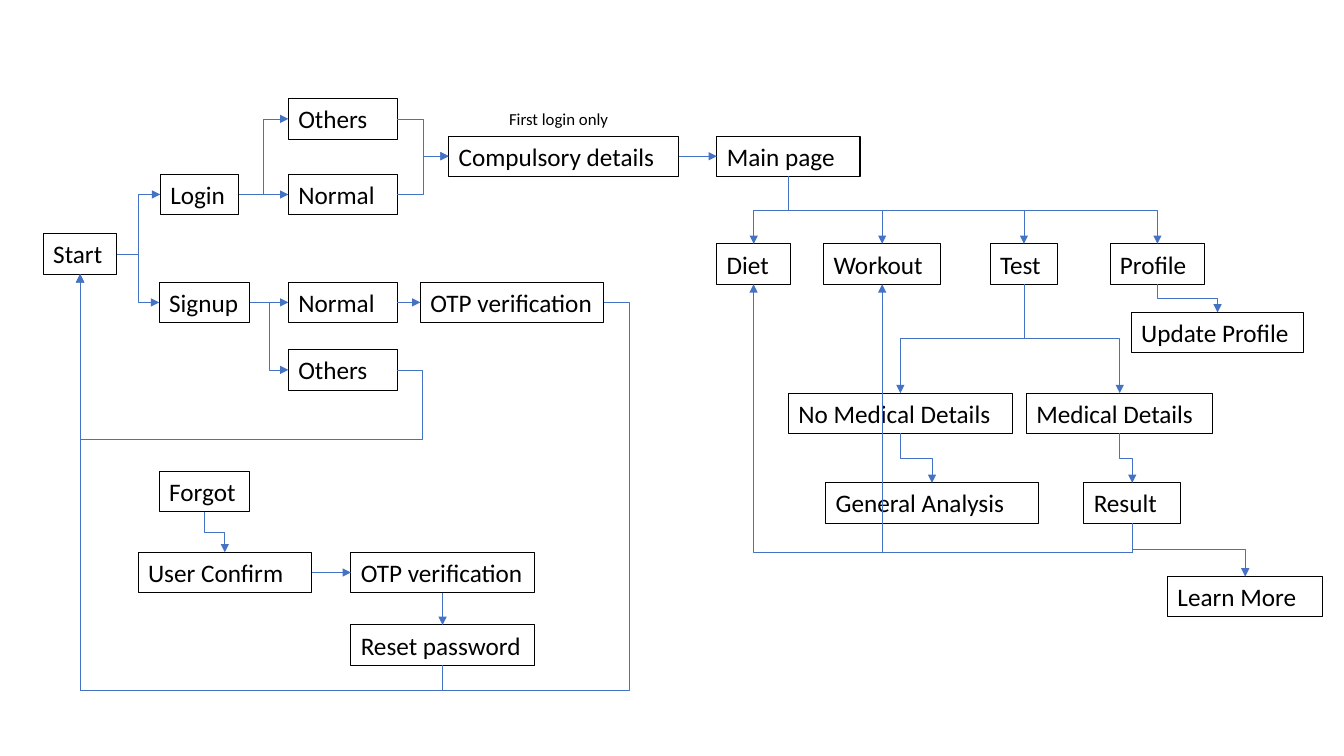
"""Draw the user flow of a health app, from start to analysis results."""
from dataclasses import dataclass
from typing import Optional

from lxml import etree
from pptx import Presentation
from pptx import util as u
from pptx.dml.color import RGBColor
from pptx.enum import shapes, text
from pptx.oxml.ns import qn

COLORS = {"ink": "000000", "flow": "4472C4"}
TOP, LEFT, BOTTOM, RIGHT = range(4)
STEP_HEIGHT = 0.4


@dataclass
class Step:
    label: str
    x: float
    y: float
    w: float

    def side(self, index: int) -> tuple[float, float]:
        across = {LEFT: 0, RIGHT: 1}.get(index, 0.5)
        down = {TOP: 0, BOTTOM: 1}.get(index, 0.5)
        return self.x + across * self.w, self.y + down * STEP_HEIGHT


@dataclass
class Flow:
    start: str
    end: str
    leave: int = RIGHT
    enter: int = LEFT
    lane_x: Optional[float] = None
    lane_y: Optional[float] = None


STEPS = {
    "start": Step("Start", 0.43, 2.32, 0.73),
    "login": Step("Login", 1.59, 1.73, 0.78),
    "login_normal": Step("Normal", 2.86, 1.73, 1.08),
    "login_others": Step("Others", 2.86, 0.98, 1.08),
    "signup": Step("Signup", 1.58, 2.8, 0.9),
    "signup_normal": Step("Normal", 2.86, 2.8, 1.08),
    "signup_others": Step("Others", 2.86, 3.47, 1.08),
    "signup_otp": Step("OTP verification", 4.17, 2.8, 1.82),
    "compulsory": Step("Compulsory details", 4.45, 1.35, 2.28),
    "main": Step("Main page", 7.11, 1.35, 1.42),
    "diet": Step("Diet", 7.11, 2.42, 0.73),
    "workout": Step("Workout", 8.17, 2.42, 1.16),
    "test": Step("Test", 9.82, 2.42, 0.67),
    "profile": Step("Profile", 11.01, 2.42, 0.94),
    "update": Step("Update Profile", 11.22, 3.1, 1.71),
    "no_medical": Step("No Medical Details", 7.82, 3.9, 2.22),
    "medical": Step("Medical Details", 10.18, 3.9, 1.85),
    "general": Step("General Analysis", 8.19, 4.79, 2.11),
    "result": Step("Result", 10.75, 4.79, 0.96),
    "learn": Step("Learn More", 11.58, 5.72, 1.54),
    "forgot": Step("Forgot", 1.58, 4.68, 0.9),
    "confirm": Step("User Confirm", 1.37, 5.48, 1.72),
    "reset_otp": Step("OTP verification", 3.48, 5.48, 1.82),
    "reset": Step("Reset password", 3.48, 6.2, 1.82),
}

ACROSS = [
    ("start", "login"), ("start", "signup"),
    ("login", "login_others"), ("login", "login_normal"),
    ("signup", "signup_normal"), ("signup", "signup_others"),
    ("signup_normal", "signup_otp"),
    ("login_normal", "compulsory"), ("login_others", "compulsory"),
    ("compulsory", "main"), ("confirm", "reset_otp"),
]
DOWN = [
    ("main", "diet"), ("main", "workout"), ("main", "profile"), ("main", "test"),
    ("profile", "update"), ("test", "medical"), ("test", "no_medical"),
    ("medical", "result"), ("no_medical", "general"), ("result", "learn"),
    ("forgot", "confirm"), ("reset_otp", "reset"),
]
BACK = [
    Flow("signup_others", "start", RIGHT, BOTTOM, 4.19, 4.36),
    Flow("signup_otp", "start", RIGHT, BOTTOM, 6.24, 6.85),
    Flow("result", "diet", BOTTOM, BOTTOM, lane_y=5.48),
    Flow("result", "workout", BOTTOM, BOTTOM, lane_y=5.48),
    Flow("reset", "start", BOTTOM, BOTTOM, lane_y=6.85),
]


def write(shape, words: str, *, size: float = 18, color: str = "ink") -> None:
    frame = shape.text_frame
    frame.word_wrap = True
    frame.auto_size = text.MSO_AUTO_SIZE.SHAPE_TO_FIT_TEXT
    frame.vertical_anchor = text.MSO_ANCHOR.TOP
    frame.margin_right = 0
    line = frame.paragraphs[0]
    line.text = words
    line.alignment = text.PP_ALIGN.LEFT
    line.font.name = "Calibri"
    line.font.size = u.Pt(size)
    line.font.color.rgb = RGBColor.from_string(COLORS[color])


def draw_step(slide, step: Step):
    box = slide.shapes.add_shape(
        shapes.MSO_SHAPE.RECTANGLE,
        *map(u.Inches, (step.x, step.y, step.w, STEP_HEIGHT)))
    box.shadow.inherit = False
    box.fill.background()
    box.line.color.rgb = RGBColor.from_string(COLORS["ink"])
    box.line.width = u.Pt(0.75)
    write(box, step.label)
    return box


def turn_vertical(arrow, x0: float, y0: float, x1: float, y1: float) -> None:
    length, spread = abs(y1 - y0), abs(x1 - x0)
    arrow.left = u.Inches((x0 + x1 - length) / 2)
    arrow.top = u.Inches((y0 + y1 - spread) / 2)
    arrow.width, arrow.height = u.Inches(length), u.Inches(spread)
    leftward = x1 < x0
    xfrm = arrow._element.spPr.xfrm
    xfrm.set("rot", "5400000" if leftward else "16200000")
    xfrm.set("flipH", "1" if leftward == (y1 < y0) else "0")
    xfrm.set("flipV", "0")


def set_lanes(arrow, bends: list[float]) -> None:
    geometry = arrow._element.spPr.find(qn("a:prstGeom"))
    geometry.set("prst", f"bentConnector{2 + len(bends)}")
    guides = geometry.find(qn("a:avLst"))
    for number, bend in enumerate(bends, 1):
        etree.SubElement(guides, qn("a:gd"), name=f"adj{number}",
                         fmla=f"val {round(bend * 100000)}")


def draw_flow(slide, flow: Flow, boxes: dict) -> None:
    x0, y0 = STEPS[flow.start].side(flow.leave)
    x1, y1 = STEPS[flow.end].side(flow.enter)
    straight = min(abs(x1 - x0), abs(y1 - y0)) < 0.01
    kind = shapes.MSO_CONNECTOR.STRAIGHT if straight else shapes.MSO_CONNECTOR.ELBOW
    arrow = slide.shapes.add_connector(kind, *map(u.Inches, (x0, y0, x1, y1)))
    arrow.begin_connect(boxes[flow.start], flow.leave)
    arrow.end_connect(boxes[flow.end], flow.enter)
    if flow.leave == BOTTOM and not straight:
        turn_vertical(arrow, x0, y0, x1, y1)
    bends = []
    if flow.lane_x is not None:
        bends.append((flow.lane_x - x0) / (x1 - x0))
    if flow.lane_y is not None:
        bends.append((flow.lane_y - y0) / (y1 - y0))
    if bends:
        set_lanes(arrow, bends)
    arrow.line.color.rgb = RGBColor.from_string(COLORS["flow"])
    arrow.line.width = u.Pt(0.5)
    properties = arrow._element.spPr
    etree.SubElement(properties.find(qn("a:ln")), qn("a:tailEnd"), type="triangle")
    etree.SubElement(properties, qn("a:effectLst"))


def main() -> None:
    deck = Presentation()
    deck.slide_width, deck.slide_height = u.Inches(13.33), u.Inches(7.5)
    slide = deck.slides.add_slide(deck.slide_layouts[6])
    boxes = {key: draw_step(slide, step) for key, step in STEPS.items()}
    first_login = slide.shapes.add_textbox(*map(u.Inches, (4.95, 1.03, 1.19, 0.3)))
    write(first_login, "First login only", size=12)
    across = [Flow(*pair) for pair in ACROSS]
    down = [Flow(*pair, BOTTOM, TOP) for pair in DOWN]
    for flow in across + down + BACK:
        draw_flow(slide, flow, boxes)
    deck.save("out.pptx")


if __name__ == "__main__":
    main()
